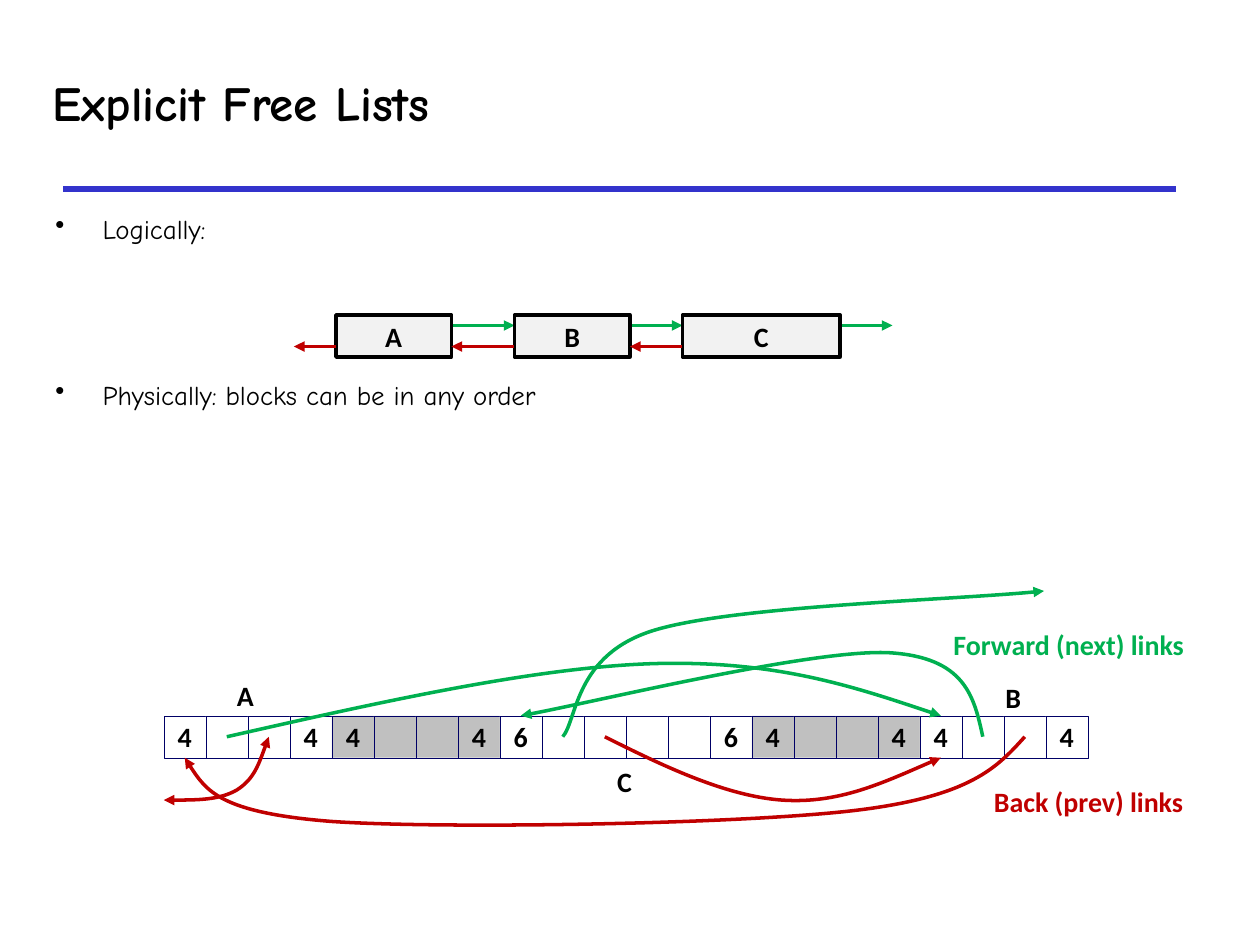
"""Builds the slide on explicit free lists: logical order and physical layout."""
from lxml.etree import SubElement
from pptx import Presentation
from pptx.dml.color import RGBColor
from pptx.enum.shapes import MSO_CONNECTOR as Connector, MSO_SHAPE as Shape
from pptx.enum.text import MSO_ANCHOR as Anchor, MSO_AUTO_SIZE as AutoSize, PP_ALIGN as Align
from pptx.oxml.ns import qn
from pptx.util import Pt

COLORS = {
    "text": "000000", "rule": "3333CC", "next": "00B050", "prev": "C00000",
    "node": "F2F2F2", "free": "FFFFFF", "used": "C0C0C0", "cell_edge": "000066",
}
TITLE_FONT = {"name": "Comic Neue", "size": Pt(28), "bold": True}
BODY_FONT = {"name": "Comic Neue", "size": Pt(15.4), "bold": False}
LABEL_FONT = {"name": "Calibri", "size": Pt(16), "bold": True}

TITLE = "Explicit Free Lists"
BULLETS = [("Logically:", 0), ("Physically: blocks can be in any order", 82.9)]
NODES = [("A", 192, 66), ("B", 294, 66), ("C", 390, 90)]
NODE_TOP, NODE_HEIGHT = 180, 24
NEXT_Y, PREV_Y = 186, 198
CHAIN_START, CHAIN_END = 168, 510
BLOCKS = [(4, "free"), (4, "used"), (6, "free"), (4, "used"), (4, "free")]
CELL, ROW_LEFT, ROW_TOP = 24, 93.6, 409
ROW_MIDDLE, ROW_BOTTOM = ROW_TOP + CELL / 2, ROW_TOP + CELL


def center(index):
    return ROW_LEFT + CELL * (index + 0.5)


CURVES = [
    ("next", ["tailEnd"], [(center(1), ROW_MIDDLE), (218, 401), (307, 381), (375, 379.2),
                           (443.5, 377.5), (490, 393), (center(18), ROW_TOP)]),
    ("next", ["tailEnd"], [(center(19), ROW_MIDDLE), (556.6, 398), (551.5, 375.5), (507.6, 373),
                           (463.7, 371), (332.6, 403), (297.6, ROW_TOP)]),
    ("prev", ["tailEnd"], [(center(20), ROW_MIDDLE), (570, 438.3), (555, 455), (489.6, 463),
                           (423.4, 471), (253.4, 473.8), (189.4, 469.4),
                           (125.3, 464.4), (115.2, 448.6), (center(0), ROW_BOTTOM)]),
    ("prev", ["tailEnd"], [(center(10), ROW_MIDDLE), (380, 438.3), (415.4, 455), (447, 457.2),
                           (479.5, 459.4), (508, 445.7), (center(18), ROW_BOTTOM)]),
    ("next", ["tailEnd"], [(center(9), ROW_MIDDLE), (330, 411), (328.3, 373.7), (374.4, 360),
                           (420, 346.3), (550, 342.7), (596.6, 337.7)]),
    ("prev", ["headEnd", "tailEnd"], [(center(2), ROW_MIDDLE), (149, 433.4), (145.4, 445),
                                      (135.4, 451.4), (125.3, 457.2), (109.4, 457.2),
                                      (ROW_LEFT, 457.2)]),
]
LABELS = [
    ("Forward (next) links", "next", 537.8, 355, 147),
    ("Back (prev) links", "prev", 560.9, 445, 123),
    ("A", "text", 128.2, 384.5, 24), ("B", "text", 567.4, 385.2, 23),
    ("C", "text", 345.6, 433.4, 22),
]


def rgb(name):
    return RGBColor.from_string(COLORS[name])


def write(para, text, color, font):
    span = para.add_run()
    span.text = text
    for key, value in font.items():
        setattr(span.font, key, value)
    span.font.color.rgb = rgb(color)


def style_line(shape, color, width, arrows=()):
    shape.line.color.rgb = rgb(color)
    shape.line.width = Pt(width)
    for arrow in arrows:
        SubElement(shape.line._get_or_add_ln(), qn(f"a:{arrow}"), type="triangle")


def add_line(page, start, end, color, width, arrows=()):
    line = page.shapes.add_connector(Connector.STRAIGHT, *map(Pt, start + end))
    style_line(line, color, width, arrows)
    SubElement(line._element.spPr, qn("a:effectLst"))


def add_box(page, text, place, fill, edge, width):
    box = page.shapes.add_shape(Shape.RECTANGLE, *map(Pt, place))
    box.shadow.inherit = False
    box.fill.solid()
    box.fill.fore_color.rgb = rgb(fill)
    style_line(box, edge, width)
    if text:
        frame = box.text_frame
        frame.word_wrap = False
        frame.vertical_anchor = Anchor.MIDDLE
        frame.paragraphs[0].alignment = Align.CENTER
        write(frame.paragraphs[0], text, "text", LABEL_FONT)


def add_curve(page, color, arrows, points):
    points = [(Pt(x), Pt(y)) for x, y in points]
    builder = page.shapes.build_freeform(*points[0])
    builder.add_line_segments(points[1:], close=False)
    curve = builder.convert_to_shape()
    curve.shadow.inherit = False
    curve.fill.background()
    style_line(curve, color, 2, arrows)
    segments = list(curve._element.iter(qn("a:lnTo")))
    outline = segments[0].getparent()
    for first in range(0, len(segments), 3):
        bezier = SubElement(outline, qn("a:cubicBezTo"))
        for segment in segments[first:first + 3]:
            bezier.append(segment[0])
            outline.remove(segment)


def add_frame(page, place):
    frame = page.shapes.add_textbox(*map(Pt, place)).text_frame
    frame.word_wrap = True
    return frame


def add_heading(page):
    frame = add_frame(page, (23, 38.2, 478, 45.4))
    frame.vertical_anchor = Anchor.MIDDLE
    frame.paragraphs[0].line_spacing = 0.87
    write(frame.paragraphs[0], TITLE, "text", TITLE_FONT)


def add_bullets(page):
    frame = add_frame(page, (24.5, 123.8, 654.5, 191.5))
    for index, (text, gap) in enumerate(BULLETS):
        para = frame.add_paragraph() if index else frame.paragraphs[0]
        properties = para._p.get_or_add_pPr()
        properties.set("marL", str(Pt(27)))
        properties.set("indent", str(-Pt(27)))
        SubElement(properties, qn("a:buChar"), char="•")
        para.line_spacing = 0.65
        para.space_before = Pt(gap)
        write(para, text, "text", BODY_FONT)


def add_logical_list(page):
    lefts = [left for _, left, _ in NODES]
    rights = [left + width for _, left, width in NODES]
    for start, end in zip(rights, lefts[1:] + [CHAIN_END]):
        add_line(page, (start, NEXT_Y), (end, NEXT_Y), "next", 2, ["tailEnd"])
    for name, left, width in NODES:
        add_box(page, name, (left, NODE_TOP, width, NODE_HEIGHT), "node", "text", 2)
    for start, end in zip(lefts, [CHAIN_START] + rights):
        add_line(page, (start, PREV_Y), (end, PREV_Y), "prev", 2, ["tailEnd"])


def add_memory_row(page):
    left = ROW_LEFT
    for size, state in BLOCKS:
        for index in range(size):
            text = str(size) if index in (0, size - 1) else ""
            add_box(page, text, (left, ROW_TOP, CELL, CELL), state, "cell_edge", 0.25)
            left += CELL


def add_labels(page):
    for text, color, left, top, width in LABELS:
        frame = add_frame(page, (left, top, width, 26.6))
        frame.word_wrap = False
        frame.auto_size = AutoSize.SHAPE_TO_FIT_TEXT
        write(frame.paragraphs[0], text, color, LABEL_FONT)


def main():
    deck = Presentation()
    deck.slide_width, deck.slide_height = Pt(720), Pt(540)
    page = deck.slides.add_slide(deck.slide_layouts[6])
    add_line(page, (36, 108), (672, 108), "rule", 3)
    add_heading(page)
    add_bullets(page)
    add_logical_list(page)
    add_memory_row(page)
    for color, arrows, points in CURVES:
        add_curve(page, color, arrows, points)
    add_labels(page)
    deck.save("out.pptx")


if __name__ == "__main__":
    main()
